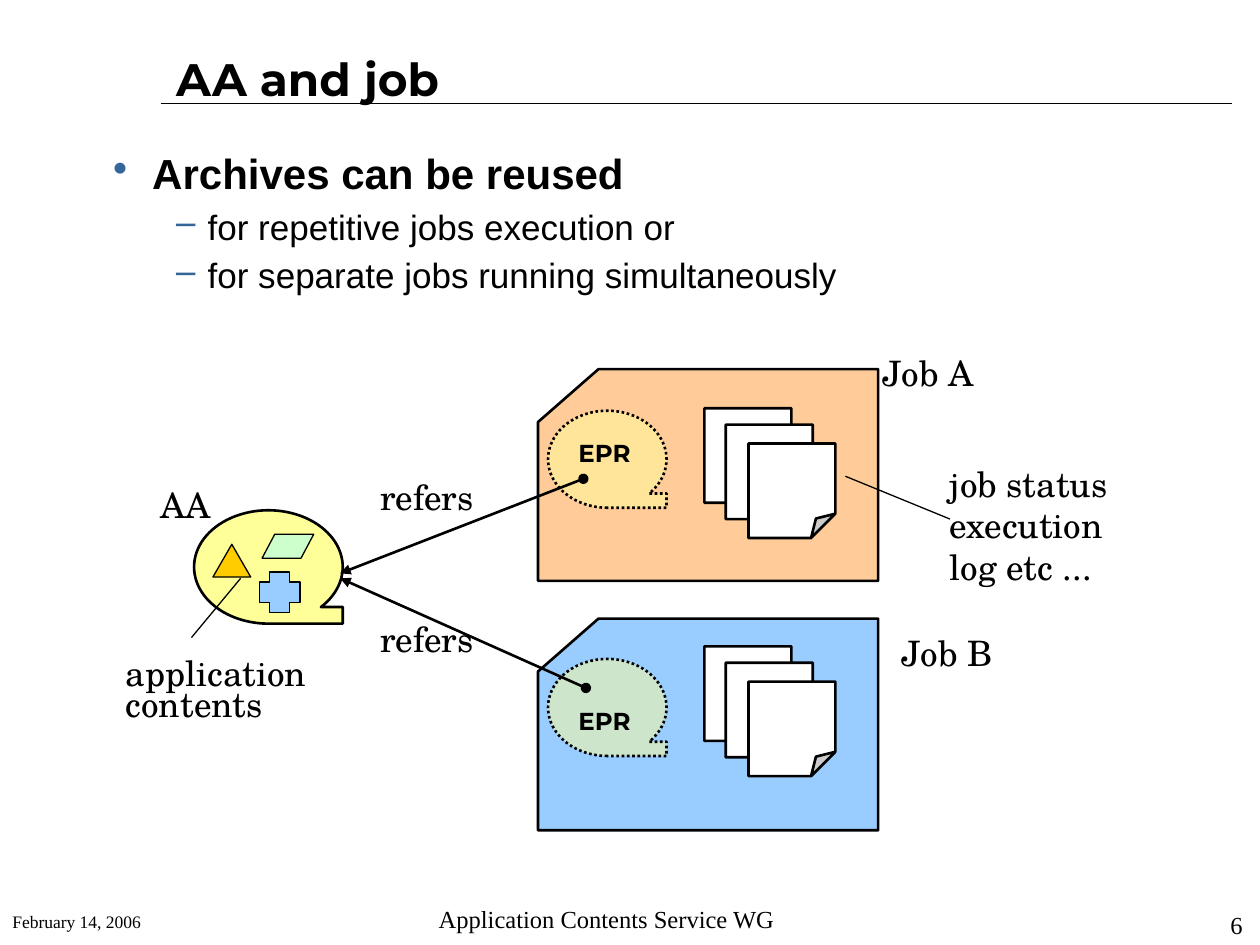
from lxml.etree import SubElement
from pptx import Presentation
from pptx.dml.color import RGBColor
from pptx.enum.dml import MSO_LINE
from pptx.enum.shapes import MSO_CONNECTOR, MSO_SHAPE
from pptx.enum.text import MSO_ANCHOR, PP_ALIGN
from pptx.oxml.ns import qn
from pptx.util import Inches, Pt

COLORS = {
    "black": "000000", "white": "FFFFFF", "orange": "FFCC99", "blue": "99CCFF",
    "yellow": "FFFF99", "gold": "FFCC00", "green": "CCFFCC", "bullet": "336699",
}
SCHOLA, MONTSERRAT, TIMES = "TeX Gyre Schola", "Montserrat", "Times New Roman"
LEFT, CENTER, RIGHT, JUSTIFY = PP_ALIGN.LEFT, PP_ALIGN.CENTER, PP_ALIGN.RIGHT, PP_ALIGN.JUSTIFY

deck = Presentation()
deck.slide_width, deck.slide_height = Inches(10), Inches(7.5)
page = deck.slides.add_slide(deck.slide_layouts[6])


def paint(shape, fill, width):
    """Give a shape a solid fill and a black outline without shadow."""
    shape.shadow.inherit = False
    shape.fill.solid()
    shape.fill.fore_color.rgb = RGBColor.from_string(COLORS[fill])
    shape.line.color.rgb = RGBColor.from_string(COLORS["black"])
    shape.line.width = Pt(width)


def add_text(at, lines, font, size, align=LEFT, bold=False, middle=False, inset=True):
    """Add a text box; lines holds (text, line spacing) pairs."""
    box = page.shapes.add_textbox(*map(Inches, at))
    frame = box.text_frame
    frame.word_wrap = True
    frame.vertical_anchor = MSO_ANCHOR.MIDDLE if middle else MSO_ANCHOR.TOP
    if not inset:
        frame.margin_left = frame.margin_right = frame.margin_top = frame.margin_bottom = 0
    for index, (text, spacing) in enumerate(lines):
        para = frame.add_paragraph() if index else frame.paragraphs[0]
        para.alignment = align
        para.line_spacing = spacing
        span = para.add_run()
        span.text = text
        span.font.name = font
        span.font.size = Pt(size)
        span.font.bold = bold
        span.font.color.rgb = RGBColor.from_string(COLORS["black"])
    return frame


# Title and bullets
add_text((1.3, 0.33, 8.49, 0.58), [("AA and job", 1.0)], MONTSERRAT, 26, bold=True, middle=True)
points = ["Archives can be reused", "for repetitive jobs execution or",
          "for separate jobs running simultaneously"]
body = add_text((0.3, 1.17, 9.48, 5.64), [(point, 0.9) for point in points], "Arial", 20)
for level, para in enumerate(body.paragraphs):
    sub_point = level > 0
    margin, hanging, mark = (1.25, 0.25, "–") if sub_point else (0.81, 0.31, "•")
    if sub_point:
        para.level = 1
        para.space_before = Pt(6.2)
    else:
        para.runs[0].font.size = Pt(24)
        para.runs[0].font.bold = True
    properties = para._p.get_or_add_pPr()
    properties.set("marL", str(Inches(margin)))
    properties.set("indent", str(-Inches(hanging)))
    bullet_color = SubElement(properties, qn("a:buClr"))
    SubElement(bullet_color, qn("a:srgbClr"), val=COLORS["bullet"])
    SubElement(properties, qn("a:buChar"), char=mark)

# Jobs: card with a cut corner, reference to the archive, stack of documents
jobs = [("orange", 2.93, 3.26, 3.24), ("blue", 4.91, 5.23, 5.13)]
for fill, top, reference_top, stack_top in jobs:
    builder = page.shapes.build_freeform(Inches(4.27), Inches(top + 1.68))
    corners = [(4.27, top + 0.42), (4.75, top), (6.97, top), (6.97, top + 1.68)]
    builder.add_line_segments([(Inches(x), Inches(y)) for x, y in corners], close=True)
    paint(builder.convert_to_shape(), fill, 1.5)

    reference = page.shapes.add_shape(
        MSO_SHAPE.FLOWCHART_SEQUENTIAL_ACCESS_STORAGE,
        Inches(4.35), Inches(reference_top), Inches(0.94), Inches(0.77))
    paint(reference, "yellow", 1.5)
    reference.line.dash_style = MSO_LINE.ROUND_DOT
    tint = reference._element.spPr.find(qn("a:solidFill"))[0]
    SubElement(tint, qn("a:alpha"), val="50000")

    for x, drop in [(5.59, 0), (5.76, 0.13), (5.94, 0.28)]:
        document = page.shapes.add_shape(
            MSO_SHAPE.FOLDED_CORNER,
            Inches(x), Inches(stack_top + drop), Inches(0.69), Inches(0.75))
        geometry = document._element.spPr.find(qn("a:prstGeom"))
        SubElement(geometry.get_or_add_avLst(), qn("a:gd"), name="adj", fmla="val 28000")
        paint(document, "white", 1.5)

# Archive and its contents
archive_parts = [
    (MSO_SHAPE.FLOWCHART_SEQUENTIAL_ACCESS_STORAGE, (1.54, 4.05, 1.18, 0.9), "yellow", 1.5, None),
    (MSO_SHAPE.ISOSCELES_TRIANGLE, (1.69, 4.32, 0.3, 0.26), "gold", 0.75, 0.5),
    (MSO_SHAPE.PARALLELOGRAM, (2.08, 4.24, 0.41, 0.19), "green", 0.75, 0.53),
    (MSO_SHAPE.CROSS, (2.06, 4.54, 0.32, 0.32), "blue", 0.75, 0.25),
]
for kind, at, fill, width, adjustment in archive_parts:
    part = page.shapes.add_shape(kind, *map(Inches, at))
    if adjustment is not None:
        part.adjustments[0] = adjustment
    paint(part, fill, width)

# Title rule, reference arrows and label leaders
lines = [
    ((1.28, 0.82, 9.78, 0.82), 0.75, False),
    ((4.63, 3.8, 2.7, 4.55), 1.5, True),
    ((4.65, 5.46, 2.7, 4.59), 1.5, True),
    ((7.54, 4.12, 6.71, 3.78), 0.75, False),
    ((1.52, 5.06, 1.91, 4.59), 0.75, False),
]
for ends, width, is_arrow in lines:
    line = page.shapes.add_connector(MSO_CONNECTOR.STRAIGHT, *map(Inches, ends))
    line.line.color.rgb = RGBColor.from_string(COLORS["black"])
    line.line.width = Pt(width)
    if is_arrow:
        outline = line.line._get_or_add_ln()
        SubElement(outline, qn("a:headEnd"), type="oval")
        SubElement(outline, qn("a:tailEnd"), type="triangle")
    SubElement(line._element.spPr, qn("a:effectLst"))

# Diagram labels
TIGHT = 0.72
labels = [
    ((6.66, 2.83, 1.41, 0.48), [("Job A", TIGHT)], CENTER),
    ((6.81, 5.05, 1.41, 0.48), [("Job B", TIGHT)], CENTER),
    ((1.03, 3.87, 0.89, 0.48), [("AA", TIGHT)], CENTER),
    ((2.92, 3.81, 1, 0.48), [("refers", TIGHT)], JUSTIFY),
    ((2.92, 4.94, 1, 0.48), [("refers", TIGHT)], JUSTIFY),
    ((7.44, 3.71, 1.54, 1.05), [("job status", TIGHT), ("execution log etc ...", 1.0)], JUSTIFY),
    ((0.9, 5.21, 1.66, 0.8), [("application", TIGHT), ("contents", TIGHT)], JUSTIFY),
]
for at, text_lines, align in labels:
    add_text(at, text_lines, SCHOLA, 20, align)
for top in (3.48, 5.6):
    add_text((4.59, top, 0.75, 0.39), [("EPR", 1.0)], MONTSERRAT, 14, JUSTIFY, bold=True, inset=False)

# Footer
footers = [
    ((0, 7.13, 2.95, 0.37), "February 14, 2006", 10, LEFT),
    ((3, 7.08, 3.63, 0.42), "Application Contents Service WG", 14, CENTER),
    ((9.01, 7.22, 0.95, 0.24), "6", 14, RIGHT),
]
for at, text, size, align in footers:
    add_text(at, [(text, 1.0)], TIMES, size, align, middle=True)

deck.save("out.pptx")
